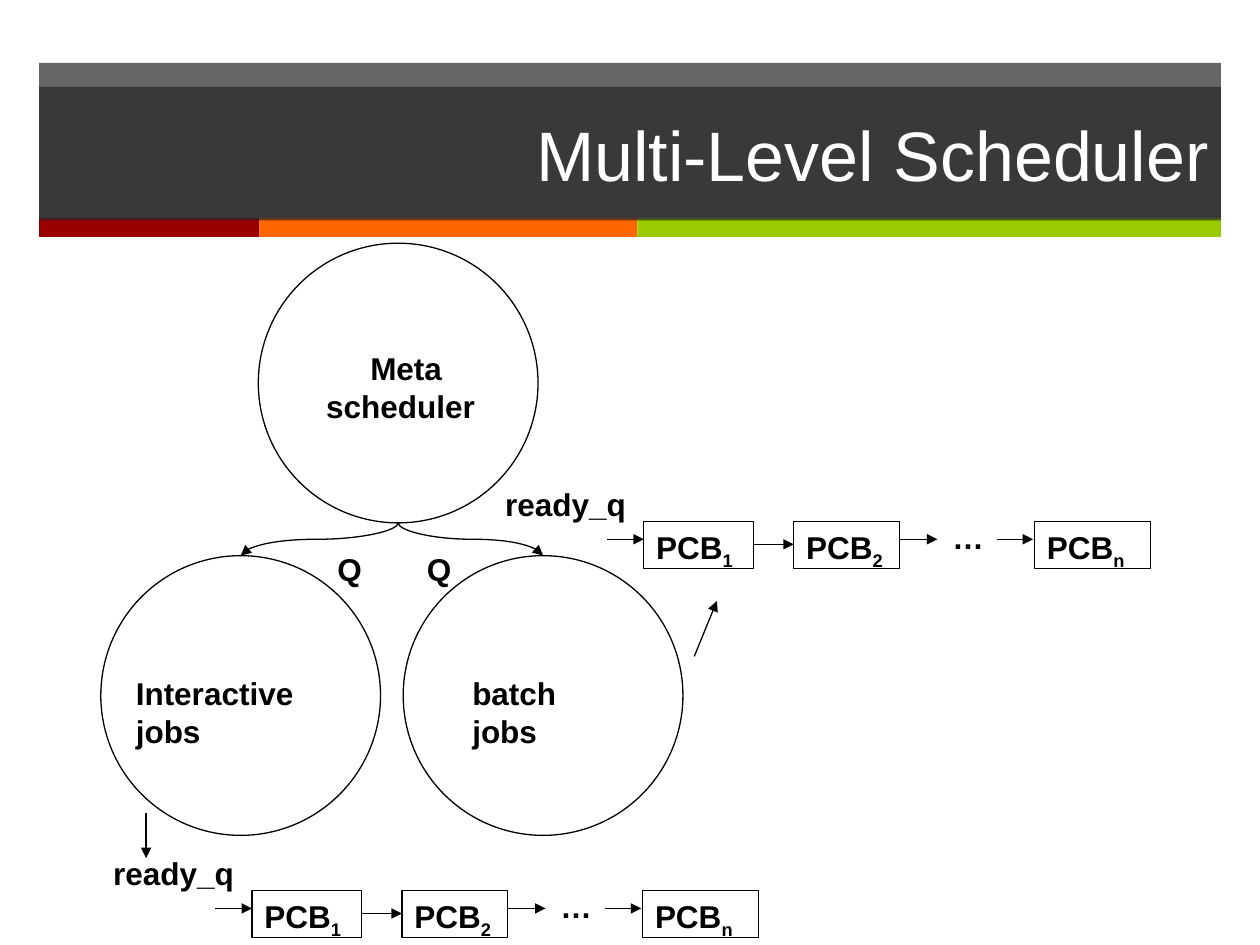
from lxml import etree
from pptx import Presentation
from pptx.dml.color import RGBColor
from pptx.enum.shapes import MSO_CONNECTOR, MSO_SHAPE
from pptx.enum.text import MSO_ANCHOR, PP_ALIGN
from pptx.oxml.ns import qn
from pptx.util import Inches, Pt

RECTANGLE, OVAL = MSO_SHAPE.RECTANGLE, MSO_SHAPE.OVAL
STRAIGHT, CURVE = MSO_CONNECTOR.STRAIGHT, MSO_CONNECTOR.CURVE
TOP, MIDDLE = MSO_ANCHOR.TOP, MSO_ANCHOR.MIDDLE
LEFT, RIGHT = PP_ALIGN.LEFT, PP_ALIGN.RIGHT

BLACK = RGBColor(0, 0, 0)
WHITE = RGBColor(0xFF, 0xFF, 0xFF)
CHARCOAL = RGBColor(0x26, 0x26, 0x26)
RED = RGBColor(0x99, 0, 0)
ORANGE = RGBColor(0xFF, 0x66, 0)
GREEN = RGBColor(0x99, 0xCC, 0)

FONT = "Arial"
CIRCLE_SIZE = 2.22
LINE_WIDTH = Pt(0.75)
QUEUE_BOXES = [("1", 1.2, 0.87), ("2", 2.39, 0.84), ("n", 4.3, 0.92)]
QUEUE_ARROWS = [(0.91, 1.2, 0.48), (2.07, 2.39, 0.52), (3.23, 3.53, 0.48), (4, 4.29, 0.48)]


def style_text(paragraph, size=18, color=BLACK, bold=True):
    for run in paragraph.runs:
        run.font.name = FONT
        run.font.size = Pt(size)
        run.font.bold = bold
        run.font.color.rgb = color


def add_band(slide, left, top, width, height, color, opacity=100):
    band = slide.shapes.add_shape(RECTANGLE, Inches(left), Inches(top), Inches(width), Inches(height))
    band.shadow.inherit = False
    band.line.fill.background()
    band.fill.solid()
    band.fill.fore_color.rgb = color
    if opacity < 100:
        fill_color = band.fill._xPr.find(qn("a:solidFill"))[0]
        etree.SubElement(fill_color, qn("a:alpha")).set("val", str(opacity * 1000))
    return band


def add_outline(slide, kind, left, top, width, height):
    outline = slide.shapes.add_shape(kind, Inches(left), Inches(top), Inches(width), Inches(height))
    outline.shadow.inherit = False
    outline.fill.background()
    outline.line.color.rgb = BLACK
    outline.line.width = LINE_WIDTH
    return outline


def add_label(slide, text, left, top, width, height=0.36, wrap=True, indent=0):
    label = slide.shapes.add_textbox(Inches(left), Inches(top), Inches(width), Inches(height))
    frame = label.text_frame
    frame.word_wrap = wrap
    frame.text = text
    paragraph = frame.paragraphs[0]
    if indent:
        properties = paragraph._p.get_or_add_pPr()
        properties.set("marL", "0")
        properties.set("indent", str(Inches(indent)))
    style_text(paragraph)


def add_arrow(slide, start, end, kind=STRAIGHT):
    arrow = slide.shapes.add_connector(kind, *(Inches(value) for value in (*start, *end)))
    arrow.line.color.rgb = BLACK
    arrow.line.width = LINE_WIDTH
    etree.SubElement(arrow.line._get_or_add_ln(), qn("a:tailEnd")).set("type", "triangle")
    etree.SubElement(arrow._element.spPr, qn("a:effectLst"))
    return arrow


def add_branch(slide, start, end):
    center_x, center_y = (start[0] + end[0]) / 2, (start[1] + end[1]) / 2
    goes_left = end[0] < start[0]
    half_x = (end[1] - start[1]) / 2 * (1 if goes_left else -1)
    half_y = abs(end[0] - start[0]) / 2
    branch = add_arrow(slide, (center_x - half_x, center_y - half_y),
                       (center_x + half_x, center_y + half_y), CURVE)
    degrees = 90 if goes_left else 270
    branch._element.spPr.find(qn("a:xfrm")).set("rot", str(degrees * 60000))


def add_pcb(slide, subscript, left, top, width):
    pcb = add_outline(slide, RECTANGLE, left, top, width, 0.37)
    frame = pcb.text_frame
    frame.word_wrap = True
    frame.vertical_anchor = TOP
    paragraph = frame.paragraphs[0]
    paragraph.alignment = LEFT
    paragraph.add_run().text = "PCB"
    index = paragraph.add_run()
    index.text = subscript
    style_text(paragraph)
    index.font._element.set("baseline", "-25000")


def add_ready_queue(slide, left, top):
    add_label(slide, "…", left + 3.55, top + 0.26, 0.4, wrap=False)
    for subscript, offset, width in QUEUE_BOXES:
        add_pcb(slide, subscript, left + offset, top + 0.34, width)
    for start, end, height in QUEUE_ARROWS:
        add_arrow(slide, (left + start, top + height), (left + end, top + height))
    add_label(slide, "ready_q", left, top, 1.18)


def add_header(slide):
    add_band(slide, 0.31, 0.5, 9.38, 1.24, CHARCOAL, 70)
    left = 0.31
    for width, color in [(1.75, RED), (3, ORANGE), (4.63, GREEN)]:
        add_band(slide, left, 1.73, width, 0.15, color)
        left += width
    title = add_band(slide, 0.31, 0.69, 9.38, 1.06, CHARCOAL, 70)
    frame = title.text_frame
    frame.word_wrap = True
    frame.vertical_anchor = MIDDLE
    frame.text = "Multi-Level Scheduler"
    frame.paragraphs[0].alignment = RIGHT
    style_text(frame.paragraphs[0], 40, WHITE, False)


def add_schedulers(slide):
    for left, top in [(2.05, 1.93), (0.8, 4.41), (3.2, 4.41)]:
        add_outline(slide, OVAL, left, top, CIRCLE_SIZE, CIRCLE_SIZE)
    for child_left in (0.8, 3.2):
        add_branch(slide, (3.16, 4.15), (child_left + CIRCLE_SIZE / 2, 4.41))
    add_label(slide, "Meta scheduler", 2.49, 2.72, 1.51, 0.62, indent=0.35)
    add_label(slide, "Interactive jobs", 0.98, 5.3, 1.93)
    add_label(slide, "batch jobs", 3.65, 5.3, 1.41)
    for left in (2.58, 3.29):
        add_label(slide, "Q", left, 4.32, 0.35, wrap=False)


def main():
    presentation = Presentation()
    presentation.slide_width = Inches(10)
    presentation.slide_height = Inches(7.5)
    slide = presentation.slides.add_slide(presentation.slide_layouts[6])
    add_header(slide)
    add_schedulers(slide)
    add_ready_queue(slide, 0.8, 6.73)
    add_ready_queue(slide, 3.91, 3.8)
    add_arrow(slide, (1.16, 6.45), (1.16, 6.81))
    add_arrow(slide, (5.51, 5.21), (5.69, 4.77))
    presentation.save("out.pptx")


if __name__ == "__main__":
    main()
